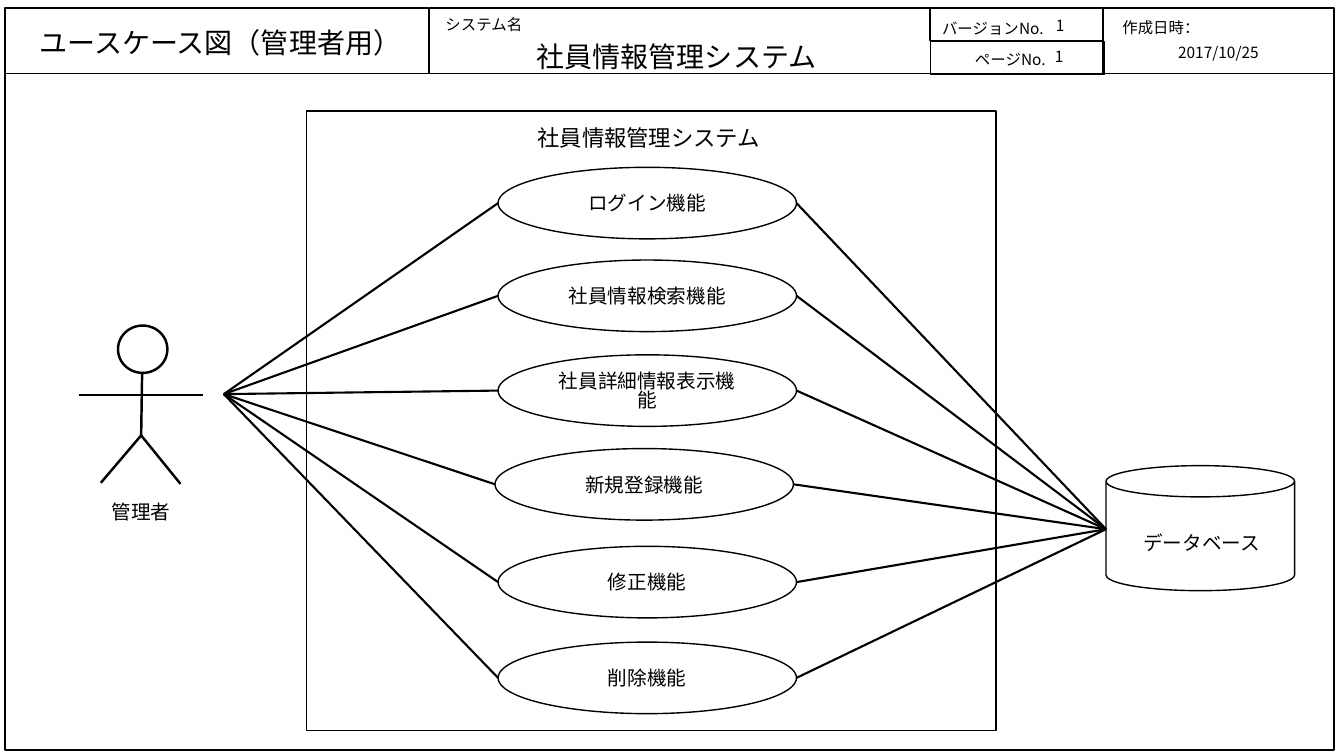
from lxml.etree import SubElement
from pptx import Presentation
from pptx.dml.color import RGBColor
from pptx.enum.shapes import MSO_CONNECTOR as Link, MSO_SHAPE as Kind
from pptx.enum.text import MSO_ANCHOR as Anchor, PP_ALIGN as Align
from pptx.oxml.ns import qn
from pptx.util import Inches, Pt


def color(code):
    return RGBColor.from_string(code)


def write(frame, text, size=14, align=Align.CENTER, anchor=Anchor.MIDDLE,
          font="Noto Sans CJK JP", ink="000000"):
    frame.word_wrap = True
    frame.vertical_anchor = anchor
    # Tight lines sit high, so the top margin grows with the type size
    lift = 0.2 if anchor == Anchor.MIDDLE else 0.1
    frame.margin_top = Inches(0.05 + lift * size / 72)
    para = frame.paragraphs[0]
    para.alignment = align
    para.line_spacing = 0.81
    run = para.add_run()
    run.text = text
    run.font.size = Pt(size)
    run.font.name = font
    run.font.color.rgb = color(ink)
    props = run.font._element
    SubElement(props, qn("a:ea")).set("typeface", font)


class Sheet:
    ink = "000000"

    def __init__(self, slide):
        self.shapes = slide.shapes

    def shape(self, kind, box, text="", width=1):
        item = self.shapes.add_shape(kind, *map(Inches, box))
        item.shadow.inherit = False
        item.fill.background()
        item.line.color.rgb = color(self.ink)
        item.line.width = Pt(width)
        if text:
            write(item.text_frame, text, ink=self.ink)

    def label(self, box, text, **style):
        item = self.shapes.add_textbox(*map(Inches, box))
        write(item.text_frame, text, ink=self.ink, **style)

    def line(self, start, end, width=1.5):
        item = self.shapes.add_connector(
            Link.STRAIGHT, *map(Inches, (*start, *end)))
        item.line.color.rgb = color(self.ink)
        item.line.width = Pt(width)
        SubElement(item._element.spPr, qn("a:effectLst"))


def header(sheet):
    # Page frame and header cells
    for box in [(0.05, 0.73, 13.18, 6.71), (0.05, 0.08, 4.2, 0.65),
                (4.26, 0.08, 4.97, 0.65), (9.22, 0.08, 1.72, 0.32),
                (9.23, 0.41, 1.72, 0.33), (10.94, 0.08, 2.29, 0.65)]:
        sheet.shape(Kind.RECTANGLE, box)

    # Titles
    sheet.label((4.02, 0.36, 5.38, 0.41), "社員情報管理システム", size=20)
    sheet.label((0.19, 0.24, 3.99, 0.49), "ユースケース図（管理者用）",
                size=20, anchor=Anchor.TOP)

    # Small header fields
    for box, text, align in [
            ((4.18, 0.12, 1.24, 0.49), "システム名", Align.CENTER),
            ((8.94, 0.16, 1.51, 0.29), "バージョンNo.", Align.RIGHT),
            ((9.22, 0.47, 1.25, 0.27), "ページNo.", Align.RIGHT),
            ((10.34, 0.13, 0.35, 0.3), "1", Align.CENTER),
            ((10.33, 0.44, 0.35, 0.3), "1", Align.CENTER),
            ((10.85, 0.15, 1.33, 0.24), "作成日時：", Align.CENTER),
            ((11.06, 0.4, 2.05, 0.23), "2017/10/25", Align.CENTER)]:
        sheet.label(box, text, size=11, align=align, anchor=Anchor.TOP)


def actor(sheet):
    # Stick figure: head, arms, body, legs
    bold = 1.75
    hip = (1.4, 4.32)
    sheet.shape(Kind.OVAL, (1.17, 3.23, 0.49, 0.47), width=bold)
    for start, end in [((0.78, 3.92), (2.01, 3.92)), ((1.41, 3.69), hip),
                       ((1, 4.79), hip), (hip, (1.79, 4.8))]:
        sheet.line(start, end, bold)
    sheet.label((0.64, 4.89, 1.52, 0.37), "管理者")


def cases(sheet):
    # System boundary
    sheet.shape(Kind.RECTANGLE, (3.04, 1.1, 6.84, 6.15))
    sheet.label((5.12, 1.18, 2.63, 0.37), "社員情報管理システム", size=16)

    # Use cases, each joined to the actor and the database
    user, store = (2.22, 3.91), (10.97, 5.25)
    wide, high = 2.96, 0.71
    for left, top, text in [(4.94, 1.66, "ログイン機能"),
                            (4.94, 2.58, "社員情報検索機能"),
                            (4.94, 3.52, "社員詳細情報表示機能"),
                            (4.91, 4.45, "新規登録機能"),
                            (4.94, 5.42, "修正機能"),
                            (4.94, 6.37, "削除機能")]:
        mid = top + high / 2
        sheet.shape(Kind.OVAL, (left, top, wide, high), text)
        sheet.line(user, (left, mid))
        sheet.line((left + wide, mid), store)


def main():
    deck = Presentation()
    deck.slide_width, deck.slide_height = Inches(13.33), Inches(7.5)
    sheet = Sheet(deck.slides.add_slide(deck.slide_layouts[6]))
    header(sheet)
    actor(sheet)
    cases(sheet)
    # Database
    sheet.shape(Kind.CAN, (10.97, 4.62, 1.87, 1.24))
    sheet.label((11, 5.2, 1.84, 0.37), "データベース")
    deck.save("out.pptx")


if __name__ == "__main__":
    main()
